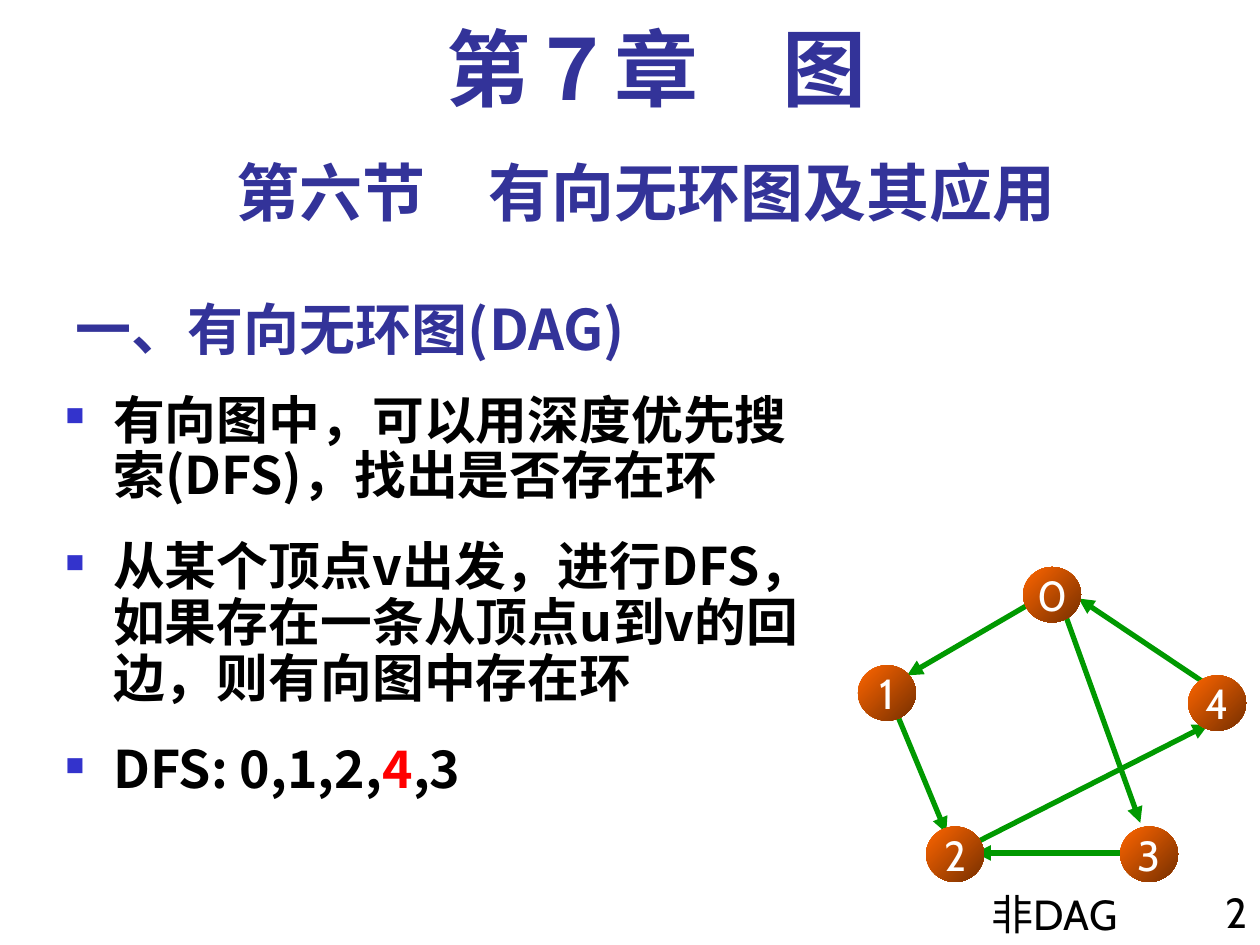
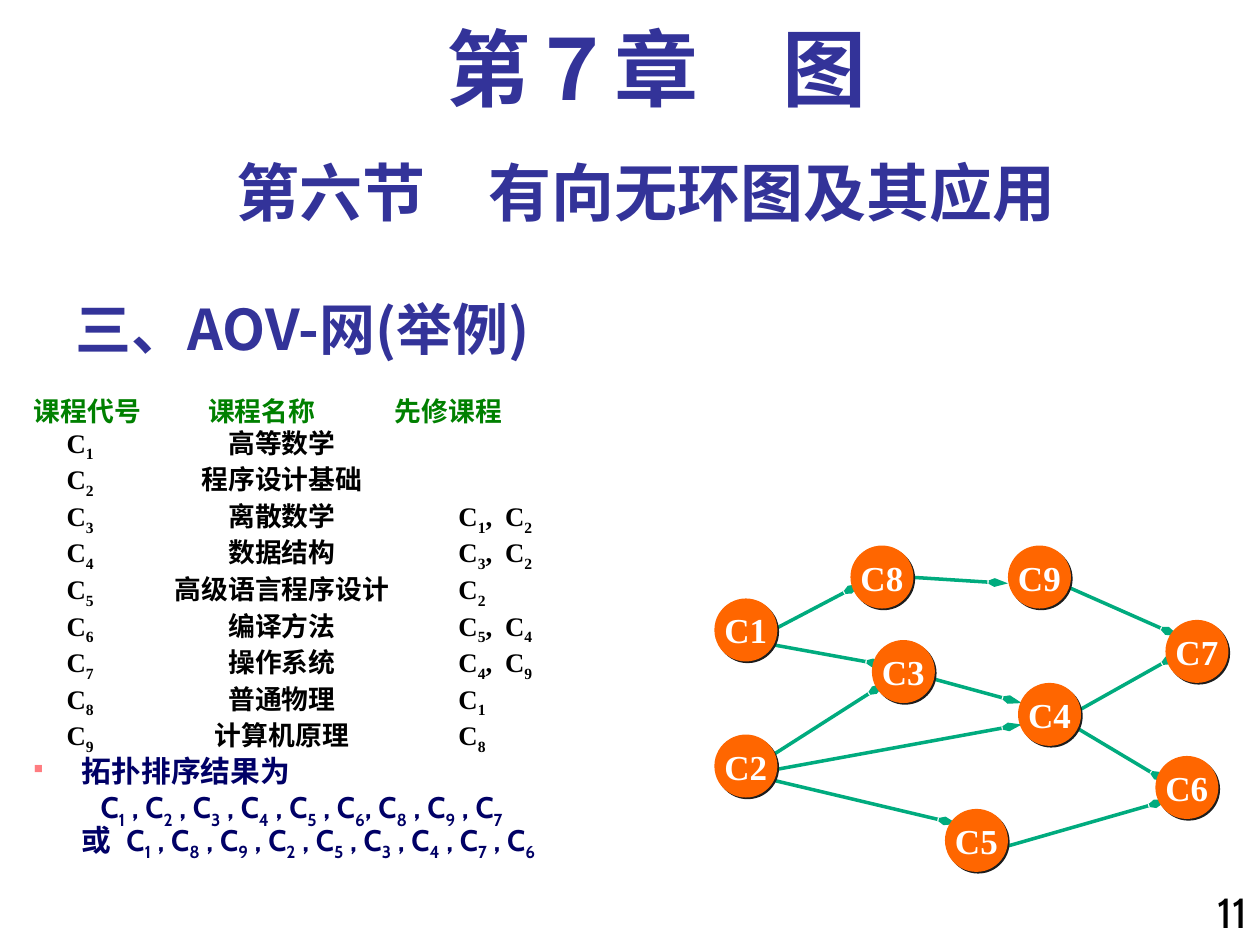
from collections import namedtuple

from lxml.etree import SubElement
from pptx import Presentation
from pptx.dml.color import RGBColor
from pptx.enum.shapes import MSO_CONNECTOR as Connector, MSO_SHAPE as Preset
from pptx.enum.text import MSO_ANCHOR as Anchor, PP_ALIGN as Align
from pptx.oxml.ns import qn
from pptx.util import Inches, Pt

INDIGO = RGBColor(0x33, 0x33, 0x99)
BLUE = RGBColor(0x33, 0x33, 0xCC)
NAVY = RGBColor(0x00, 0x00, 0x66)
PINK = RGBColor(0xFF, 0x7C, 0x80)
RED = RGBColor(0xFF, 0x00, 0x00)
GREEN = RGBColor(0x00, 0x80, 0x00)
EDGE_GREEN = RGBColor(0x00, 0x99, 0x00)
EDGE_TEAL = RGBColor(0x00, 0xAB, 0x7E)
ORANGE = RGBColor(0xFF, 0x66, 0x00)
BROWN = RGBColor(0x76, 0x2F, 0x00)
CHARCOAL = RGBColor(0x1C, 0x1C, 0x1C)
BLACK = RGBColor(0, 0, 0)
WHITE = RGBColor(0xFF, 0xFF, 0xFF)

SANS, CJK, SERIF = "Cabin", "Noto Sans CJK SC", "Times New Roman"
HANG = 0.38

Style = namedtuple("Style", "size font color bold")
Look = namedtuple("Look", "width height text edge weight arrow inset")

CHAPTER = Style(48, SERIF, INDIGO, True)
SECTION = Style(36, SANS, INDIGO, True)
HEADING = Style(32, CJK, INDIGO, True)
POINT = Style(29.6, CJK, BLACK, True)
LABEL = Style(24, SANS, BLACK, False)
COURSE_HEAD = Style(15.3, SERIF, GREEN, True)
COURSE = COURSE_HEAD._replace(color=BLACK)
RESULT = Style(17, SANS, NAVY, True)

DFS_LOOK = Look(0.46, 0.44, LABEL._replace(color=WHITE), EDGE_GREEN, 3,
                {"type": "triangle"}, 0)
AOV_LOOK = Look(0.5, 0.5, Style(20, SERIF, WHITE, True), EDGE_TEAL, 2,
                {"type": "arrow", "w": "sm", "len": "lg"}, 0.1)

DFS_NODES = {"1": (0, 0.78), "3": (2.08, 2.06), "2": (0.54, 2.06),
             "4": (2.62, 0.86), "0": (1.31, 0)}
DFS_EDGES = [
    (2.75, 0.92, 1.75, 0.25), (0.31, 1.17, 0.7, 2.11), (1.47, 0.23, 0.39, 0.86),
    (1.62, 0.31, 2.24, 2.03), (2.08, 2.27, 0.93, 2.27), (0.93, 2.19, 2.78, 1.25),
]
AOV_NODES = {"C8": (1.08, 0), "C3": (1.25, 0.75), "C5": (1.83, 2.09),
             "C4": (2.41, 1.09), "C9": (2.33, 0), "C6": (3.5, 1.67),
             "C7": (3.58, 0.59), "C1": (0, 0.42), "C2": (0, 1.5)}
AOV_EDGES = [
    (2.83, 1.42, 3.6, 1.88), (0.33, 1.83, 1.93, 2.21), (0.42, 1.69, 1.36, 1.09),
    (0.37, 0.77, 1.36, 0.95), (0.37, 0.72, 1.17, 0.3), (1.54, 0.25, 2.33, 0.3),
    (1.67, 1.04, 2.44, 1.25), (0.42, 1.79, 2.44, 1.42), (2.74, 0.3, 3.69, 0.72),
    (2.87, 1.32, 3.69, 0.86), (2.31, 2.39, 3.6, 2.02),
]
POINTS = [
    "有向图中，可以用深度优先搜索(DFS)，找出是否存在环",
    "从某个顶点v出发，进行DFS，如果存在一条从顶点u到v的回边，则有向图中存在环",
    "DFS: 0,1,2,|4|,3",
]
COURSES = [
    ("高等数学", ""), ("程序设计基础", ""), ("离散数学", "C_1,\tC_2"),
    ("数据结构", "C_3,\tC_2"), ("高级语言程序设计", "C_2"),
    ("编译方法", "C_5,\tC_4"), ("操作系统", "C_4,\tC_9"),
    ("普通物理", "C_1"), ("计算机原理", "C_8"),
]
ORDERS = ("C_1 , C_2 , C_3 , C_4 , C_5 , C_6, C_8 , C_9 , C_7\n"
          "或\u2002C_1 , C_8 , C_9 , C_2 , C_5 , C_3 , C_4 , C_7 , C_6")


def add_span(para, text, style, color=None, lowered=False):
    """Append one formatted run to a paragraph."""
    if not text:
        return
    span = para.add_run()
    span.text = text
    font = span.font
    font.size, font.name, font.bold = Pt(style.size), style.font, style.bold
    font.color.rgb = color or style.color
    props = font._element
    SubElement(props, qn("a:ea")).set("typeface", CJK)
    if lowered:
        props.set("baseline", "-25000")


def write(para, text, style):
    """Write text where _ lowers the next digit and bars enclose red text."""
    for row, line in enumerate(text.split("\n")):
        if row:
            para.add_line_break()
        for order, part in enumerate(line.split("|")):
            color = RED if order % 2 else None
            first, *rest = part.split("_")
            add_span(para, first, style, color)
            for piece in rest:
                add_span(para, piece[0], style, color, True)
                add_span(para, piece[1:], style, color)


def indent(para, margin, first):
    """Set the left margin and first-line indent in inches."""
    props = para._p.get_or_add_pPr()
    props.set("marL", str(Inches(margin)))
    props.set("indent", str(Inches(first)))
    return props


def bullet(para, color, percent):
    """Give a paragraph a square hanging bullet."""
    props = indent(para, HANG, -HANG)
    SubElement(SubElement(props, qn("a:buClr")), qn("a:srgbClr")).set("val", str(color))
    SubElement(props, qn("a:buSzPct")).set("val", str(percent * 1000))
    SubElement(props, qn("a:buChar")).set("char", "■")


def tab_stops(para, stops):
    """Set tab stops from pairs of position and alignment."""
    tabs = SubElement(para._p.get_or_add_pPr(), qn("a:tabLst"))
    for place, side in stops:
        stop = SubElement(tabs, qn("a:tab"))
        stop.set("pos", str(Inches(place)))
        stop.set("algn", side)


def text_box(page, box, anchor=Anchor.TOP):
    """Add a wrapping text box and return its frame."""
    frame = page.shapes.add_textbox(*map(Inches, box)).text_frame
    frame.word_wrap = True
    frame.vertical_anchor = anchor
    return frame


def paragraphs(frame):
    """Yield the first paragraph of a frame, then new ones."""
    yield frame.paragraphs[0]
    while True:
        yield frame.add_paragraph()


def line_of_text(page, box, text, style, align=Align.LEFT, anchor=Anchor.TOP, spacing=1.0):
    """Add a box that holds one paragraph."""
    para = text_box(page, box, anchor).paragraphs[0]
    para.alignment, para.line_spacing = align, spacing
    write(para, text, style)


def base_page(deck, heading, number):
    """Add a page with the chapter, section, heading and page number."""
    page = deck.slides.add_slide(deck.slide_layouts[6])
    line_of_text(page, (0.5, 2.17, 9.5, 0.75), heading, HEADING, anchor=Anchor.BOTTOM)
    line_of_text(page, (0.5, 1.17, 9.25, 0.7), "第六节　有向无环图及其应用", SECTION, Align.CENTER)
    line_of_text(page, (0.67, 0.17, 9.08, 0.83), "第７章　图", CHAPTER, Align.CENTER, spacing=0.9)
    line_of_text(page, (9.33, 6.99, 0.67, 0.59), number, LABEL, Align.RIGHT)
    return page


def add_edge(page, ends, look):
    """Draw one arrow between two points."""
    edge = page.shapes.add_connector(Connector.STRAIGHT, *map(Inches, ends))
    edge.line.color.rgb, edge.line.width = look.edge, Pt(look.weight)
    SubElement(edge.line._get_or_add_ln(), qn("a:tailEnd"), look.arrow)
    SubElement(edge._element.spPr, qn("a:effectLst"))


def add_node(page, left, top, name, look):
    """Draw one labelled vertex."""
    node = page.shapes.add_shape(Preset.OVAL, *map(Inches, (left, top, look.width, look.height)))
    node.shadow.inherit = False
    node.line.fill.background()
    frame = node.text_frame
    frame.word_wrap, frame.vertical_anchor = False, Anchor.MIDDLE
    frame.margin_left = frame.margin_right = Inches(look.inset)
    frame.paragraphs[0].alignment = Align.CENTER
    write(frame.paragraphs[0], name, look.text)
    return node


def shade(node):
    """Fill a vertex with a diagonal gradient."""
    node.fill.gradient()
    node.fill.gradient_angle = 315
    for stop, color in zip(node.fill.gradient_stops, (ORANGE, BROWN)):
        stop.color.rgb = color


def raise_up(node):
    """Fill a vertex plainly and give it a hard shadow."""
    node.fill.solid()
    node.fill.fore_color.rgb = ORANGE
    effects = node._element.spPr.find(qn("a:effectLst"))
    shadow = SubElement(effects, qn("a:outerShdw"))
    shadow.set("dist", str(Pt(1.4)))
    shadow.set("dir", str(45 * 60000))
    SubElement(shadow, qn("a:srgbClr")).set("val", str(CHARCOAL))


def graph(page, origin, nodes, edges, look, finish):
    """Draw a directed graph from the given top-left corner."""
    left, top = origin
    for x1, y1, x2, y2 in edges:
        add_edge(page, (left + x1, top + y1, left + x2, top + y2), look)
    for name, (x, y) in nodes.items():
        finish(add_node(page, left + x, top + y, name, look))


def points(page, box):
    """Write the bulleted points on finding cycles."""
    for text, para in zip(POINTS, paragraphs(text_box(page, box))):
        para.line_spacing, para.space_before = 0.9, Pt(20)
        bullet(para, BLUE, 50)
        write(para, text, POINT)


def course_list(page, box):
    """Write the courses in tabbed columns, then the sorted orders."""
    lines = paragraphs(text_box(page, box))
    para = next(lines)
    para.line_spacing = 1.0
    tab_stops(para, [(1.81, "ctr"), (3.29, "ctr")])
    write(para, "课程代号\t课程名称\t先修课程", COURSE_HEAD)
    for number, (name, needs) in enumerate(COURSES, 1):
        para = next(lines)
        para.line_spacing = 1.0
        tab_stops(para, [(0.26, "l"), (1.97, "ctr"), (3.37, "l"), (3.74, "l")])
        write(para, f"\tC_{number}\t{name}" + (f"\t{needs}" if needs else ""), COURSE)
    for text in ("拓扑排序结果为", ORDERS):
        para = next(lines)
        para.line_spacing, para.space_before = 0.8, Pt(2.5)
        if text == ORDERS:
            indent(para, HANG, 0.15)
        else:
            bullet(para, PINK, 42)
        write(para, text, RESULT)


def dag_page(deck):
    """Build the page on directed acyclic graphs."""
    page = base_page(deck, "一、有向无环图(DAG)", "2")
    points(page, (0.42, 3.08, 6.33, 4.42))
    graph(page, (6.81, 4.5), DFS_NODES, DFS_EDGES, DFS_LOOK, shade)
    line_of_text(page, (7.33, 7, 2.08, 0.5), "非DAG", LABEL, Align.CENTER)


def aov_page(deck):
    """Build the page with the course network."""
    page = base_page(deck, "三、AOV-网(举例)", "11")
    course_list(page, (0.17, 3.08, 5.83, 4.42))
    graph(page, (5.67, 4.33), AOV_NODES, AOV_EDGES, AOV_LOOK, raise_up)


deck = Presentation()
deck.slide_width, deck.slide_height = Inches(10), Inches(7.5)
dag_page(deck)
aov_page(deck)
deck.save("out.pptx")
